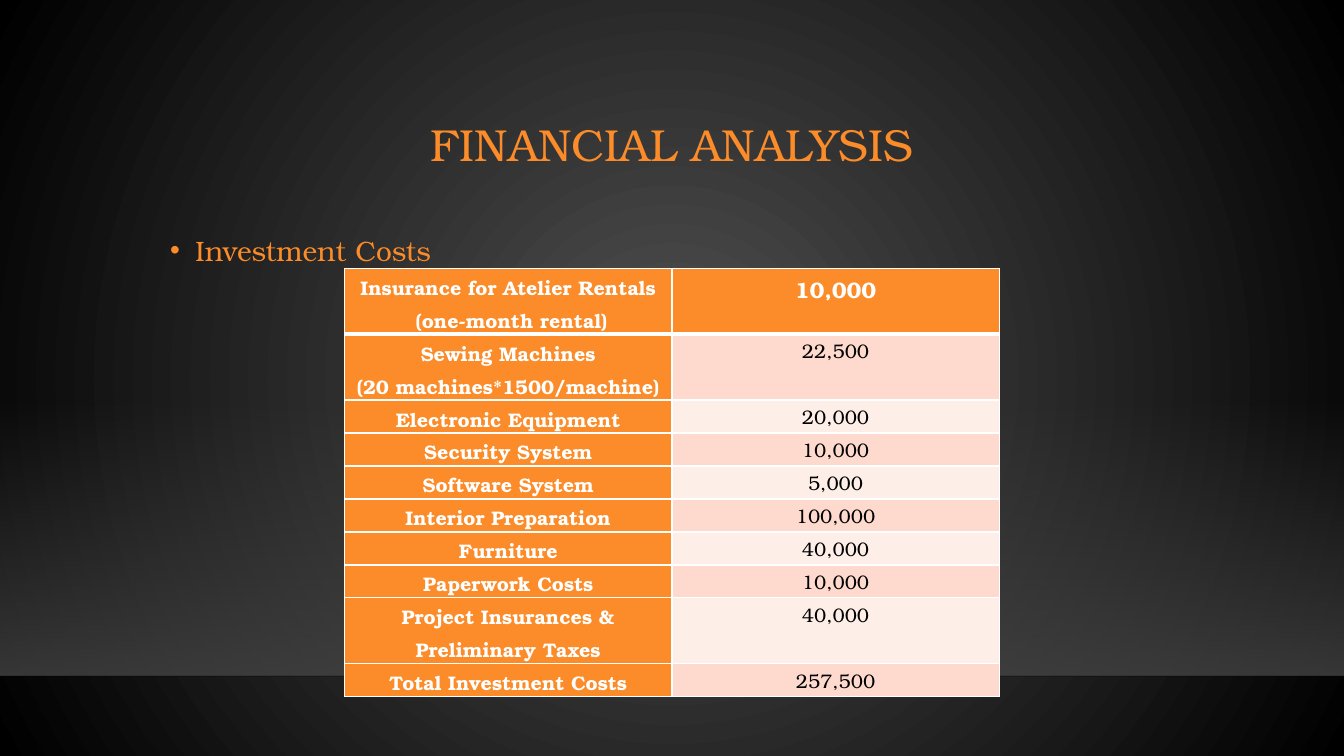
from dataclasses import dataclass

from lxml.etree import SubElement
from pptx import Presentation
from pptx.dml.color import RGBColor
from pptx.enum.shapes import MSO_CONNECTOR as Connector, MSO_SHAPE as Preset
from pptx.enum.text import MSO_ANCHOR as Anchor, PP_ALIGN as Align
from pptx.oxml import parse_xml
from pptx.oxml.ns import nsdecls, qn
from pptx.util import Pt


@dataclass(frozen=True)
class Theme:
    font: str = "TeX Gyre Bonum"
    orange: str = "FB8C29"
    band_dark: str = "FDDACD"
    band_light: str = "FEEEE8"
    white: str = "FFFFFF"
    black: str = "000000"
    glow: str = "505050"
    floor: str = "454545"
    horizon: str = "000001"
    title_size: int = 32
    body_size: int = 20
    header_size: int = 16
    cell_size: int = 14


theme = Theme()


def set_gradient(fill, colours):
    fill.gradient()
    for stop, colour in zip(fill.gradient_stops, colours):
        stop.color.rgb = RGBColor.from_string(colour)


def style_paragraph(paragraph, size, colour, bold=False, **layout):
    for name, value in layout.items():
        setattr(paragraph, name, value)
    font = paragraph.font if not paragraph.runs else paragraph.runs[0].font
    for name, value in {"name": theme.font, "size": Pt(size), "bold": bold}.items():
        setattr(font, name, value)
    font.color.rgb = RGBColor.from_string(colour)


presentation = Presentation()
presentation.slide_width, presentation.slide_height = Pt(960), Pt(540)
slide = presentation.slides.add_slide(presentation.slide_layouts[6])

# Background: radial glow
set_gradient(slide.background.fill, [theme.glow, theme.black])
linear = slide.element.find(".//" + qn("a:lin"))
linear.getparent().replace(linear, parse_xml(
    f'<a:path {nsdecls("a")} path="circle">'
    '<a:fillToRect l="50000" t="50000" r="50000" b="50000"/></a:path>'))

# Floor: a band that fades in downwards, and its horizon line
floor = slide.shapes.add_shape(Preset.RECTANGLE, 0, Pt(285), Pt(960), Pt(197.6))
floor.shadow.inherit = False
floor.line.fill.background()
set_gradient(floor.fill, [theme.floor, theme.floor])
floor.fill.gradient_angle = 270

horizon = slide.shapes.add_connector(Connector.STRAIGHT, 0, Pt(483), Pt(960), Pt(483))
horizon.line.width = Pt(1)
horizon.line.color.rgb = RGBColor.from_string(theme.horizon)
SubElement(horizon.element.spPr, qn("a:effectLst"))

for shape, opacities in ((floor, (0, 80)), (horizon, (20,))):
    for colour, opacity in zip(shape.element.iter(qn("a:srgbClr")), opacities):
        SubElement(colour, qn("a:alpha"), val=str(opacity * 1000))

# Title
title = slide.shapes.add_textbox(Pt(114.5), Pt(63.4), Pt(731.5), Pt(82.8)).text_frame
title.word_wrap = True
title.vertical_anchor = Anchor.MIDDLE
title.text = "FINANCIAL ANALYSIS"
style_paragraph(title.paragraphs[0], theme.title_size, theme.orange,
                alignment=Align.CENTER, line_spacing=0.9)

# Bullet
body = slide.shapes.add_textbox(Pt(114.5), Pt(158.4), Pt(731.5), Pt(271.4)).text_frame
body.word_wrap = True
body.text = "Investment Costs"
bullet = body.paragraphs[0]
style_paragraph(bullet, theme.body_size, theme.orange,
                line_spacing=1.2, space_before=Pt(10))
properties = bullet._p.get_or_add_pPr()
properties.set("marL", str(Pt(18)))
properties.set("indent", str(-Pt(18)))
bullet_colour = SubElement(properties, qn("a:buClr"))
SubElement(bullet_colour, qn("a:srgbClr"), val=theme.orange)
SubElement(properties, qn("a:buFont"), typeface="Arial")
SubElement(properties, qn("a:buChar"), char="•")

# Cost table: label, value, lines of text in the row
costs = [
    ("Insurance for Atelier Rentals\n (one-month rental)", "10,000", 2),
    ("Sewing Machines\n(20 machines*1500/machine)", "22,500", 2),
    ("Electronic Equipment", "20,000", 1),
    ("Security System", "10,000", 1),
    ("Software System", "5,000", 1),
    ("Interior Preparation", "100,000", 1),
    ("Furniture", "40,000", 1),
    ("Paperwork Costs", "10,000", 1),
    ("Project Insurances & Preliminary Taxes", "40,000", 2),
    ("Total Investment Costs", "257,500", 1),
]
line_height = 23.57
total_height = line_height * sum(lines for _, _, lines in costs)
table = slide.shapes.add_table(len(costs), 2, Pt(246.2), Pt(191.5),
                               Pt(467.6), Pt(total_height)).table
table.horz_banding = False
for column in table.columns:
    column.width = Pt(233.8)

cell_format = {"margin_left": Pt(5), "margin_right": Pt(5),
               "margin_top": 0, "margin_bottom": 0}
for row, (label, value, lines) in enumerate(costs):
    table.rows[row].height = Pt(line_height * lines)
    for column, text in enumerate((label, value)):
        cell = table.cell(row, column)
        emphasised = row == 0 or column == 0
        band = theme.band_dark if row % 2 else theme.band_light

        for name, setting in cell_format.items():
            setattr(cell, name, setting)
        cell.text = text
        for paragraph in cell.text_frame.paragraphs:
            style_paragraph(
                paragraph,
                theme.header_size if row == 0 and column == 1 else theme.cell_size,
                theme.white if emphasised else theme.black,
                bold=emphasised, alignment=Align.CENTER, line_spacing=1.15)

        # Borders go before the fill; the rule under the header is thicker
        cell_properties = cell._tc.get_or_add_tcPr()
        for side in "LRTB":
            under_header = (row, side) in ((0, "B"), (1, "T"))
            border = SubElement(cell_properties, qn(f"a:ln{side}"),
                                w=str(Pt(3 if under_header else 1)))
            border_fill = SubElement(border, qn("a:solidFill"))
            SubElement(border_fill, qn("a:srgbClr"), val=theme.white)
        cell.fill.solid()
        cell.fill.fore_color.rgb = RGBColor.from_string(
            theme.orange if emphasised else band)

presentation.save("out.pptx")
